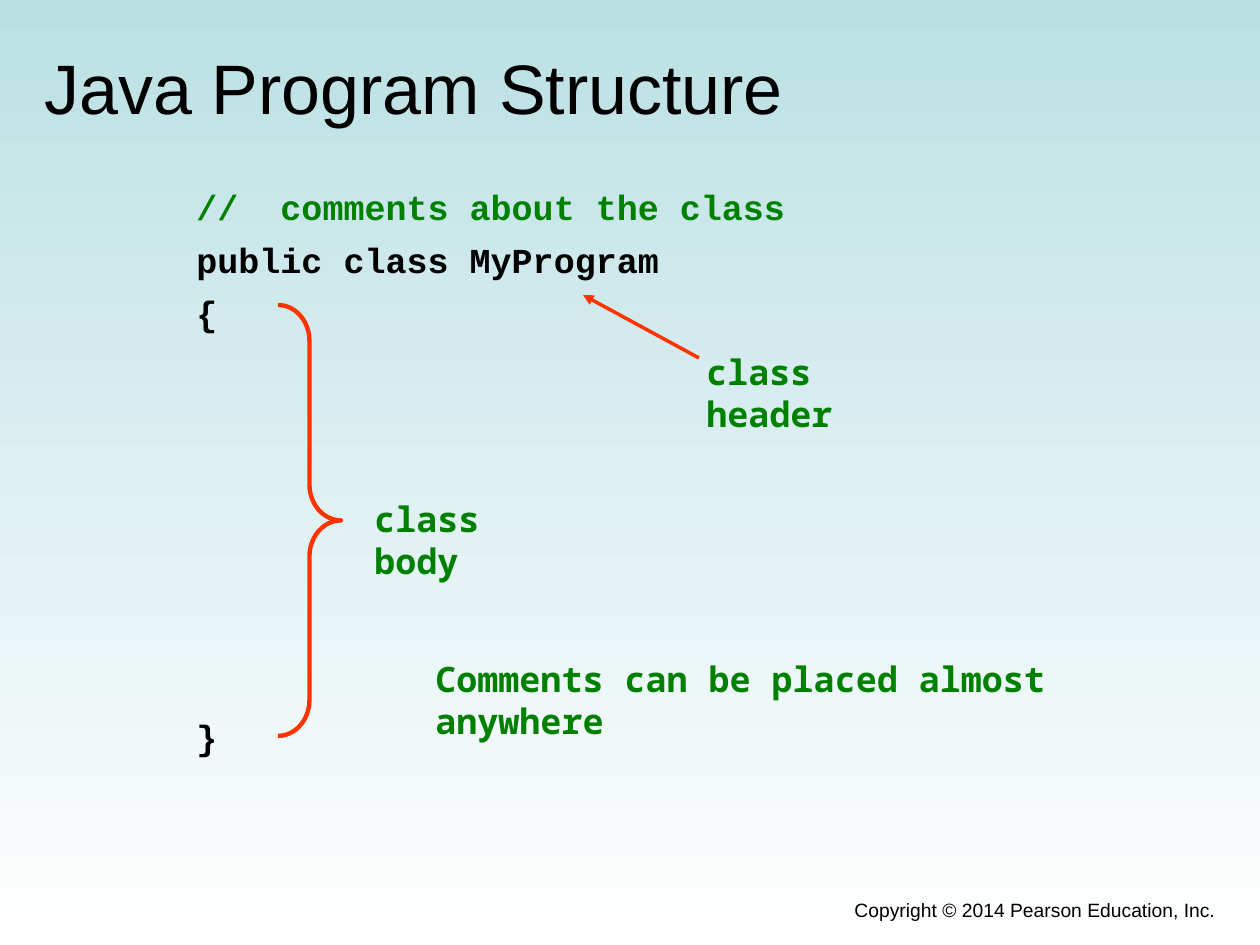
from lxml.etree import SubElement
from pptx import Presentation
from pptx.dml.color import RGBColor
from pptx.enum.shapes import MSO_CONNECTOR as Conn, MSO_SHAPE as Shape
from pptx.enum.text import MSO_ANCHOR as Anchor, PP_ALIGN as Align
from pptx.oxml.ns import qn
from pptx.util import Pt

SCALE = 914400 / 126
BLACK, GREEN, RED = "000000", "008000", "FF3300"
SANS, CODE, MONO = "Arial", "Courier New", "Noto Sans Mono"


def emu(*sizes):
    """Turn px lengths into EMU."""
    return [round(size * SCALE) for size in sizes]


def tint(color, code):
    """Set a colour from a hex string."""
    color.rgb = RGBColor.from_string(code)


def write(slide, box, text, face, size, code=BLACK, bold=True, gap=0):
    """Place text in a box, with a gap in points between paragraphs."""
    frame = slide.shapes.add_textbox(*emu(*box)).text_frame
    frame.word_wrap = True
    frame.text = text
    for rank, para in enumerate(frame.paragraphs):
        if rank:
            para.space_before = Pt(gap)
        for run in para.runs:
            run.font.name, run.font.size, run.font.bold = face, Pt(size), bold
            tint(run.font.color, code)
    return frame


def stroke(line, width):
    """Style a red line."""
    tint(line.color, RED)
    line.width = Pt(width)


def paint(slide):
    """Fill the background from pale teal down to white."""
    fill = slide.background.fill
    fill.gradient()
    fill.gradient_angle = 270
    for stop, code in zip(fill.gradient_stops, ("BBE0E3", "FFFFFF")):
        tint(stop.color, code)


def title(slide, box):
    """Write the slide title."""
    frame = write(slide, box, "Java Program Structure", SANS, 40, bold=False)
    frame.vertical_anchor = Anchor.MIDDLE


def listing(slide, box):
    """Write the class skeleton."""
    x, y, w, h = box
    write(slide, (x, y, w, 55), "//  comments about the class", CODE, 20, GREEN)
    write(slide, (x, y + 53, w, 55), "public class MyProgram", CODE, 20)
    write(slide, (x, y + 106, 50, h - 106), "{\n}", CODE, 20, gap=218.5)


def header(slide, box):
    """Label the class header and point at it."""
    x, y, w, h = box
    write(slide, (x + 111, y + 49, w - 111, h - 49), "class header", MONO, 20, GREEN)
    arrow = slide.shapes.add_connector(
        Conn.STRAIGHT, *emu(x + 116, y + 63, x, y))
    stroke(arrow.line, 2)
    line = arrow.line._get_or_add_ln()
    SubElement(line, qn("a:tailEnd"), type="triangle")
    SubElement(arrow._element.spPr, qn("a:effectLst"))


def body(slide, box):
    """Brace the class body and label it."""
    x, y, w, h = box
    brace = slide.shapes.add_shape(Shape.RIGHT_BRACE, *emu(x, y, 63, h))
    brace.adjustments[0] = 0.57
    brace.shadow.inherit = False
    brace.fill.background()
    stroke(brace.line, 2.5)
    write(slide, (x + 84, y + 186, w - 84, 55), "class body", MONO, 20, GREEN)


def remark(slide, box):
    """Write the remark on comments."""
    write(slide, box, "Comments can be placed almost anywhere", MONO, 20, GREEN)


def footer(slide, box):
    """Write the copyright line."""
    frame = write(slide, box, "Copyright © 2014 Pearson Education, Inc.",
                  SANS, 11, bold=False)
    frame.paragraphs[0].alignment = Align.RIGHT


def main():
    """Build and save the slide."""
    deck = Presentation()
    deck.slide_width, deck.slide_height = emu(1260, 945)
    slide = deck.slides.add_slide(deck.slide_layouts[6])
    paint(slide)
    title(slide, (32, 38, 1197, 98))
    listing(slide, (184, 179, 622, 581))
    header(slide, (583, 295, 354, 104))
    body(slide, (278, 305, 289, 431))
    remark(slide, (423, 651, 775, 55))
    footer(slide, (462, 892, 766, 43))
    deck.save("out.pptx")


if __name__ == "__main__":
    main()
